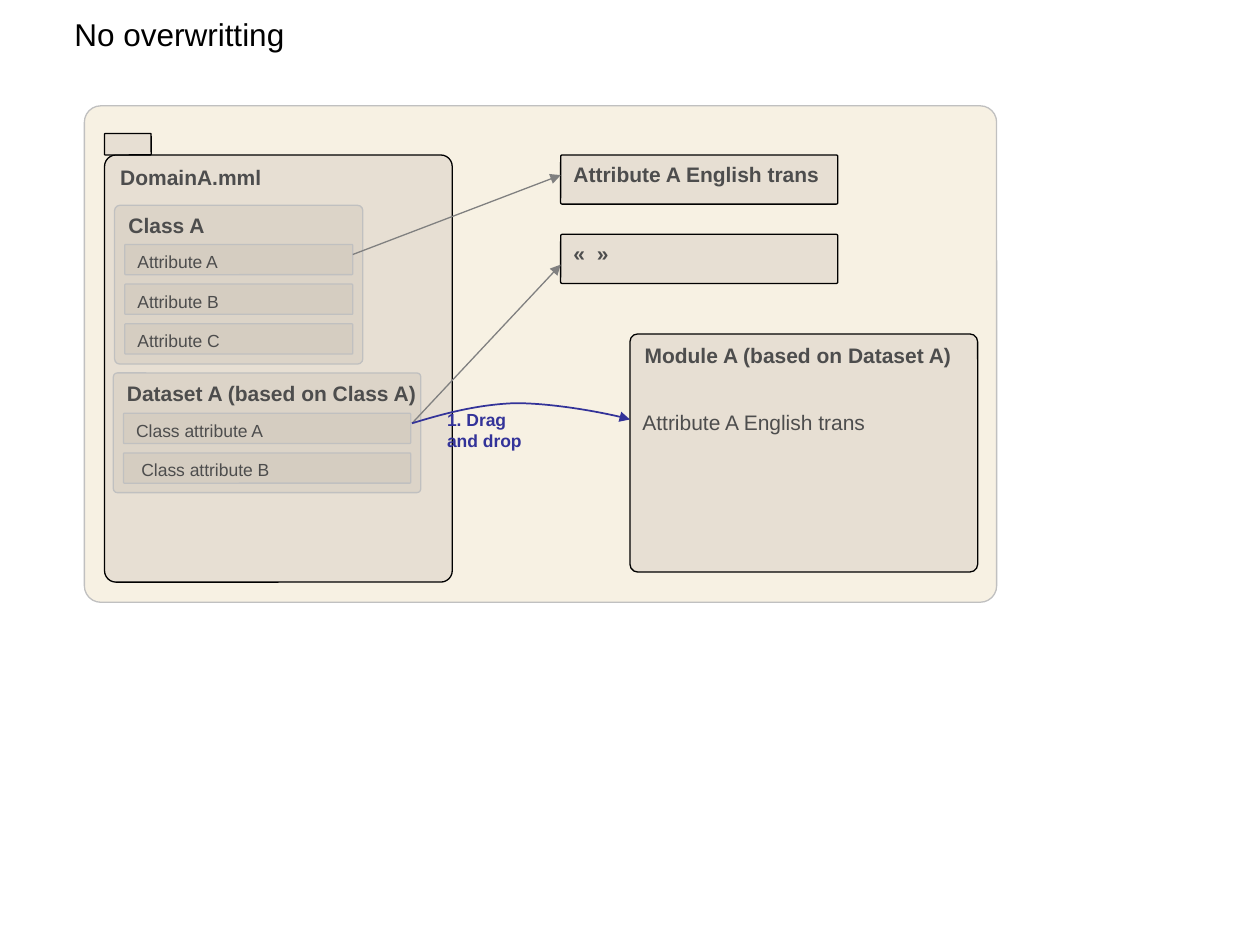
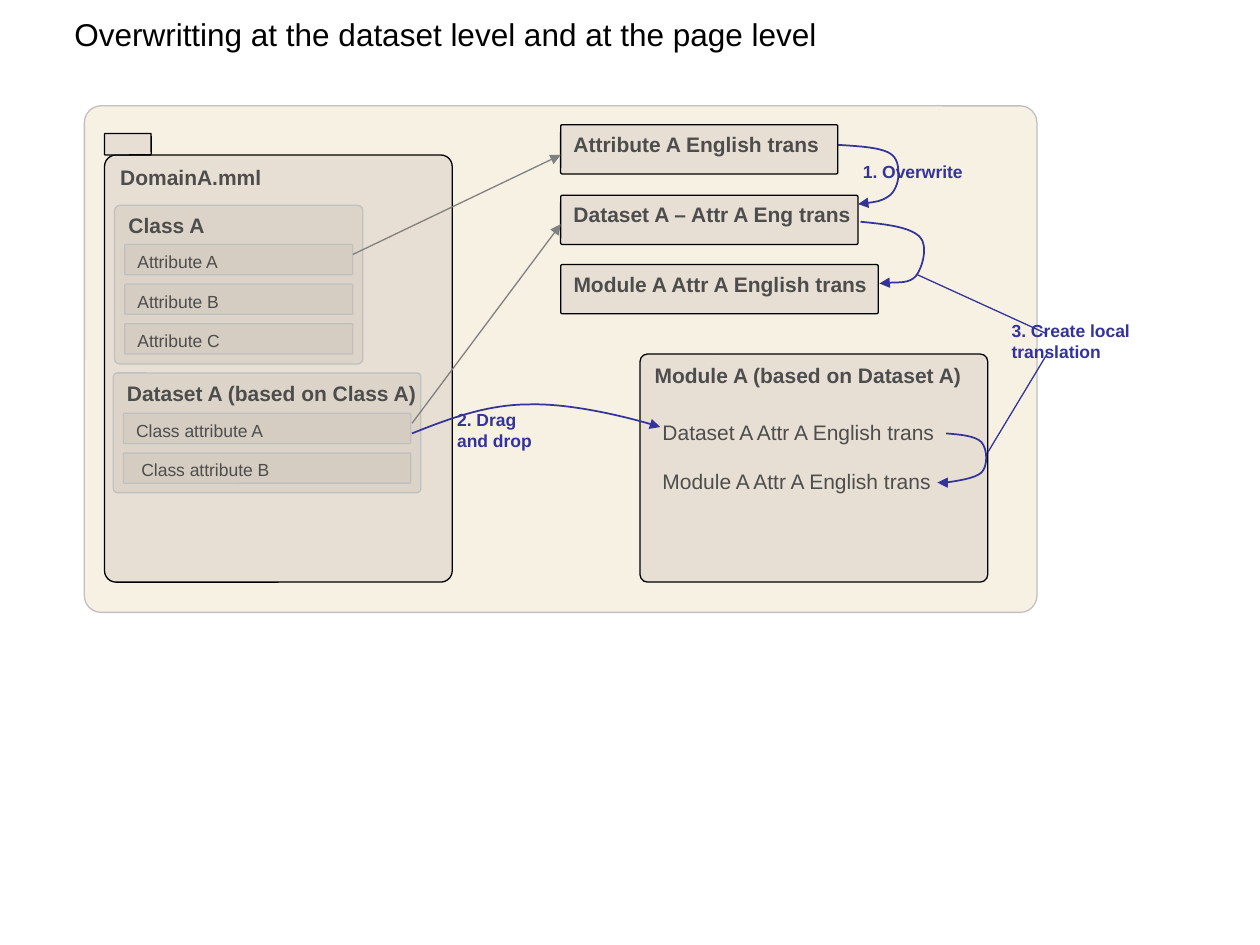
from dataclasses import dataclass
from pptx import Presentation
from pptx.dml.color import RGBColor as RGB
from pptx.enum.shapes import MSO_CONNECTOR as CONN, MSO_SHAPE as SHAPE
from pptx.enum.text import MSO_ANCHOR as ANCHOR, MSO_AUTO_SIZE as FIT, PP_ALIGN as ALIGN
from pptx.oxml.ns import qn
from pptx.util import Inches, Pt
from lxml.etree import SubElement


@dataclass(frozen=True)
class Theme:
    font: str = "Arial"
    title: int = 18
    heading: int = 12
    small: int = 10
    black: str = "000000"
    ink: str = "4D4D4D"
    step: str = "333399"
    link: str = "808080"
    edge: str = "C0C0C0"
    canvas: str = "ECDEBB"
    canvas_alpha: int = 40
    panel: str = "CAC0B6"
    panel_alpha: int = 35
    thin: float = 0.75
    curve: float = 1
    corner: float = 0.033
    row_pitch: float = 0.63 / 2
    row_height: float = 0.24


T = Theme()


def inches(values):
    return [Inches(v) for v in values]


def write(tf, text, size, color, bold=False, left=0.1, right=0.1, wrap=True):
    tf.text = text
    tf.word_wrap = wrap
    tf.auto_size = FIT.NONE
    tf.vertical_anchor = ANCHOR.TOP
    tf.margin_left, tf.margin_right = Inches(left), Inches(right)
    tf.margin_top = tf.margin_bottom = Inches(0.05)
    for p in tf.paragraphs:
        p.alignment = ALIGN.LEFT
        for r in p.runs:
            r.font.name, r.font.size, r.font.bold = T.font, Pt(size), bold
            r.font.color.rgb = RGB.from_string(color)


def stroke(sp, color, width=T.thin, arrow=False):
    sp.line.color.rgb = RGB.from_string(color)
    sp.line.width = Pt(width)
    if arrow:
        SubElement(sp.line._get_or_add_ln(), qn("a:tailEnd"), type="triangle")


def add_panel(shapes, box, text="", size=T.heading, bold=True, edge=T.black,
              fill=T.panel, alpha=T.panel_alpha, left=0.1):
    sp = shapes.add_shape(SHAPE.ROUNDED_RECTANGLE, *inches(box))
    sp.adjustments[0] = T.corner
    sp.shadow.inherit = False
    sp.fill.solid()
    sp.fill.fore_color.rgb = RGB.from_string(fill)
    color = sp.fill._xPr.find(qn("a:solidFill"))[0]
    SubElement(color, qn("a:alpha"), val=str(alpha * 1000))
    stroke(sp, edge)
    if text:
        write(sp.text_frame, text, size, T.ink, bold, left, right=0)


def add_text(s, box, text, size, color, bold=False):
    write(s.shapes.add_textbox(*inches(box)).text_frame, text, size, color, bold, wrap=False)


def add_step(s, box, text):
    add_text(s, box, text, T.small, T.step, True)


def add_line(s, start, end, color=T.link, arrow=True):
    cx = s.shapes.add_connector(CONN.STRAIGHT, *inches(start + end))
    stroke(cx, color, arrow=arrow)
    SubElement(cx._element.spPr, qn("a:effectLst"))


def add_curve(s, *points):
    builder = s.shapes.build_freeform(*inches(points[0]), scale=1.0)
    builder.add_line_segments([inches(point) for point in points[1:]], close=False)
    sp = builder.convert_to_shape()
    outline = next(sp._element.iter(qn("a:path")))
    segments = outline.findall(qn("a:lnTo"))
    for i in range(0, len(segments), 3):
        cubic = SubElement(outline, qn("a:cubicBezTo"))
        for segment in segments[i:i + 3]:
            cubic.append(segment[0])
            outline.remove(segment)
    sp.shadow.inherit = False
    sp.fill.background()
    stroke(sp, T.step, T.curve, arrow=True)


def add_entity(shapes, box, name, rows, row_top):
    x, y, w, _ = box
    add_panel(shapes, box, name, edge=T.edge)
    for i, (text, left) in enumerate(rows):
        row = (x + 0.08, y + row_top + i * T.row_pitch, w - 0.16, T.row_height)
        add_panel(shapes, row, text, T.small, False, T.edge, left=left)


def add_domain(s, box):
    x, y, _, _ = box
    add_panel(s.shapes, box, "DomainA.mml")
    add_panel(s.shapes, (x, y - 0.17, 0.37, 0.17))
    add_entity(s.shapes, (x + 0.08, y + 0.4, 1.97, 1.26), "Class A",
               [(f"Attribute {letter}", 0.1) for letter in "ABC"], 0.31)
    add_entity(s.shapes.add_group_shape().shapes, (x + 0.07, y + 1.73, 2.44, 0.95),
               "Dataset A (based on Class A)",
               [("Class attribute A", 0.1), ("Class attribute B", 0.14)], 0.32)


def add_translations(s, x, labels):
    for y, w, text in labels:
        add_panel(s.shapes, (x, y, w, 0.39), text)


def add_module(s, box, dx, dy, lines):
    x, y, _, _ = box
    add_panel(s.shapes, box, "Module A (based on Dataset A)")
    for i, (w, text) in enumerate(lines):
        add_text(s, (x + dx, y + dy + i * 0.39, w, 0.3), text, T.heading, T.ink)


def add_base(prs, title, title_width, canvas_size):
    s = prs.slides.add_slide(prs.slide_layouts[5])
    sp = s.shapes.title
    sp.left, sp.top, sp.width, sp.height = inches((0.49, 0.07, title_width, 0.4))
    write(sp.text_frame, title, T.title, T.black, right=0)
    add_panel(s.shapes, (0.67, 0.84) + canvas_size, edge=T.edge,
              fill=T.canvas, alpha=T.canvas_alpha)
    add_domain(s, (0.83, 1.23, 2.76, 3.39))
    return s


def add_plain_slide(prs):
    s = add_base(prs, "No overwritting", 1.86, (7.24, 3.94))
    add_translations(s, 4.45, [(1.23, 2.2, "Attribute A English trans"), (1.86, 2.2, "«  »")])
    add_module(s, (5, 2.65, 2.76, 1.89), 0, 0.55, [(1.99, "Attribute A English trans")])
    add_line(s, (2.8, 2.02), (4.45, 1.39))
    add_line(s, (3.27, 3.36), (4.45, 2.1))
    add_curve(s, (3.27, 3.36), (3.53, 3.28), (3.8, 3.21), (4.09, 3.2),
              (4.38, 3.2), (4.88, 3.29), (5, 3.33))
    add_step(s, (3.45, 3.2, 1.54, 0.44), "1. Drag\nand drop")


def add_overwrite_slide(prs):
    s = add_base(prs, "Overwritting at the dataset level and at the page level", 6.09, (7.56, 4.02))
    add_translations(s, 4.45, [(0.99, 2.2, "Attribute A English trans"),
                               (1.55, 2.36, "Dataset A – Attr A Eng trans"),
                               (2.1, 2.52, "Module A Attr A English trans")])
    add_module(s, (5.08, 2.81, 2.76, 1.81), 0.08, 0.47,
               [(2.4, "Dataset A Attr A English trans"), (2.37, "Module A Attr A English trans")])
    add_line(s, (2.8, 2.02), (4.45, 1.23))
    add_line(s, (3.27, 3.36), (4.45, 1.78))
    add_curve(s, (3.27, 3.44), (3.57, 3.32), (3.87, 3.21), (4.2, 3.21),
              (4.53, 3.2), (5.1, 3.34), (5.24, 3.39))
    add_curve(s, (6.65, 1.15), (6.81, 1.16), (6.97, 1.17), (7.05, 1.21),
              (7.13, 1.25), (7.13, 1.33), (7.13, 1.39),
              (7.13, 1.45), (7.1, 1.53), (7.05, 1.56),
              (6.99, 1.6), (6.9, 1.61), (6.81, 1.62))
    add_curve(s, (6.83, 1.76), (7.03, 1.78), (7.22, 1.8), (7.3, 1.88),
              (7.37, 1.95), (7.32, 2.13), (7.27, 2.19),
              (7.22, 2.25), (7.03, 2.24), (6.98, 2.25))
    add_curve(s, (7.51, 3.44), (7.63, 3.45), (7.74, 3.46), (7.79, 3.51),
              (7.84, 3.57), (7.84, 3.7), (7.79, 3.75),
              (7.74, 3.8), (7.57, 3.82), (7.51, 3.83),
              (7.45, 3.84), (7.45, 3.78), (7.44, 3.83))
    add_step(s, (6.75, 1.23, 1.74, 0.27), "1. Overwrite")
    add_step(s, (3.53, 3.2, 1.54, 0.44), "2. Drag\nand drop")
    add_step(s, (7.93, 2.49, 1.92, 0.44), "3. Create local\ntranslation")
    add_line(s, (7.28, 2.18), (8.31, 2.65), T.step, arrow=False)
    add_line(s, (7.84, 3.59), (8.31, 2.81), T.step, arrow=False)


def main():
    prs = Presentation()
    prs.slide_width, prs.slide_height = Inches(10), Inches(7.5)
    add_plain_slide(prs)
    add_overwrite_slide(prs)
    prs.save("out.pptx")


if __name__ == "__main__":
    main()
